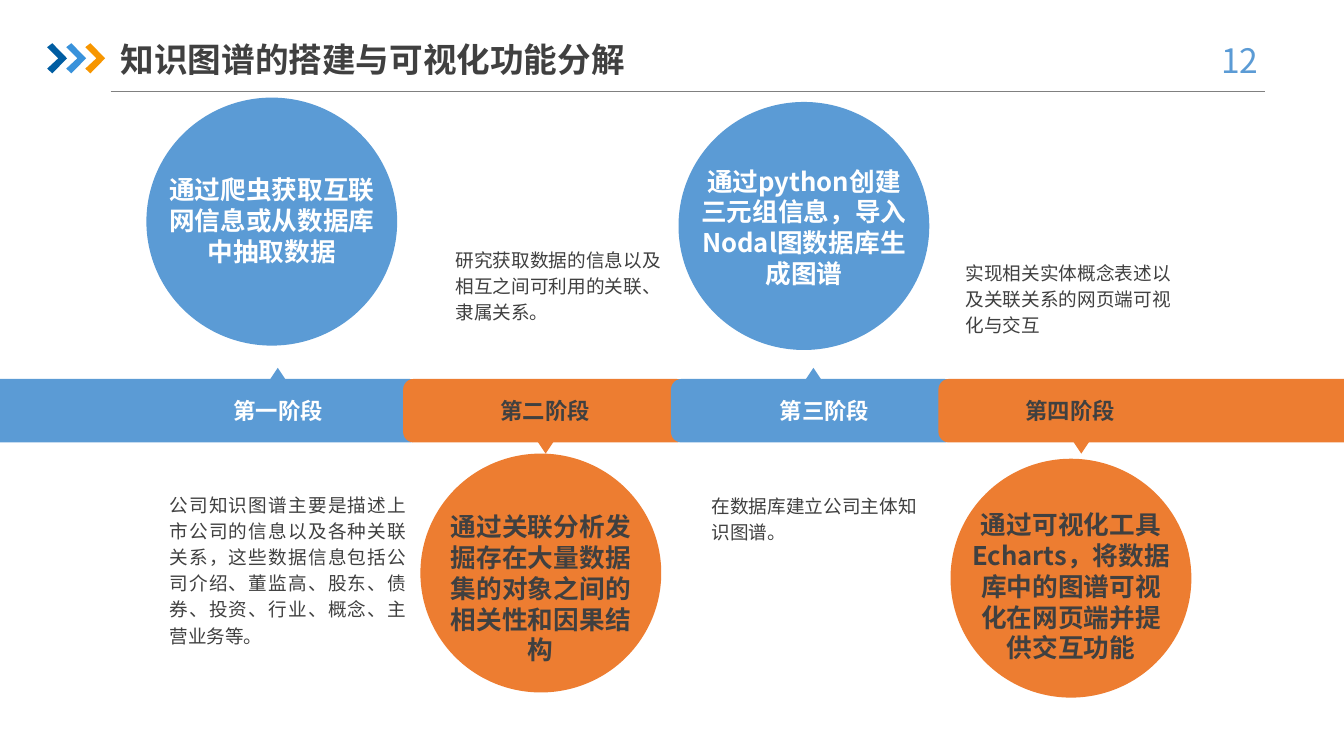
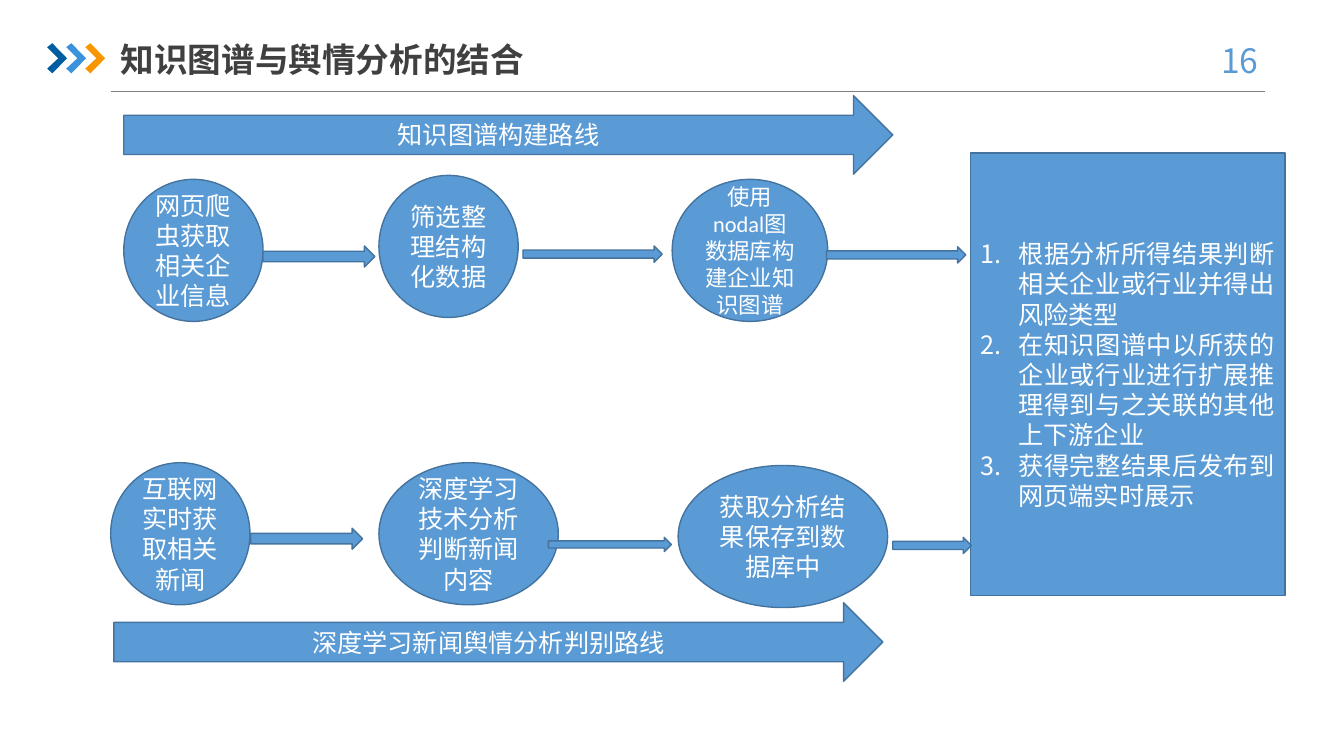
import dataclasses
import typing

import pptx
import pptx.dml.color
import pptx.enum.shapes
import pptx.enum.text
import pptx.oxml.ns
import pptx.util
from lxml import etree

Cm = pptx.util.Cm
Pt = pptx.util.Pt
Shapes = pptx.enum.shapes.MSO_SHAPE
Align = pptx.enum.text.PP_ALIGN
Anchor = pptx.enum.text.MSO_ANCHOR
qn = pptx.oxml.ns.qn


@dataclasses.dataclass(frozen=True)
class Theme:
    blue: str = "5B9BD5"
    orange: str = "ED7D31"
    outline: str = "43739E"
    ink: str = "404040"
    white: str = "FFFFFF"
    rule: str = "808080"
    chevrons: tuple[str, ...] = ("005DA2", "3992DB", "F79600")
    heading_font: str = "Noto Sans CJK SC"
    flow_font: str = "Calibri"
    title_size: float = 24
    caption_size: float = 18.3
    label_size: float = 16
    note_size: float = 13.3
    note_pitch: float = 18.7
    flow_size: float = 18
    small_flow_size: float = 16
    line_factor: float = 1.2


THEME = Theme()


class Box(typing.NamedTuple):
    """Left, top, width and height in centimetres."""
    left: float
    top: float
    width: float
    height: float

    def lengths(self) -> tuple:
        return tuple(Cm(value) for value in self)


@dataclasses.dataclass(frozen=True)
class TextStyle:
    size: float
    color: str
    font: str = THEME.heading_font
    bold: bool = False
    align: typing.Any = Align.CENTER
    pitch: float | None = None


@dataclasses.dataclass(frozen=True)
class Stage:
    label: str
    label_center: float
    band_left: float
    band_width: float
    circle_center: float
    circle_top: float
    caption: str
    caption_top: float
    caption_width: float
    caption_height: float
    note: str
    note_box: Box


@dataclasses.dataclass(frozen=True)
class FlowStep:
    text: str
    left: float
    top: float
    width: float
    size: float = THEME.flow_size


TITLE_BOX = Box(2.79, 0.86, 13.51, 1.27)
PAGE_NUMBER_BOX = Box(30, 0.89, 2.49, 1.27)
CHEVRON_POINTS = ((0, 0.1), (0.13, 0), (0.5, 0.38), (0.13, 0.76), (0, 0.64), (0.28, 0.38))
FLOW_STYLE = TextStyle(THEME.flow_size, THEME.white, THEME.flow_font)

STAGES = (
    Stage("第一阶段", 7.01, -0.41, 11, 6.85, 2.46,
          "通过爬虫获取互联网信息或从数据库中抽取数据", 4.39, 5.33, 2.34,
          "公司知识图谱主要是描述上市公司的信息以及各种关联关系，这些数据信息包括公司介绍、"
          "董监高、股东、债券、投资、行业、概念、主营业务等。", Box(4.27, 12.34, 5.97, 4.01)),
    Stage("第二阶段", 13.74, 10.16, 7.16, 13.63, 11.43,
          "通过关联分析发掘存在大量数据集的对象之间的相关性和因果结构", 12.88, 5.18, 3.12,
          "研究获取数据的信息以及相互之间可利用的关联、隶属关系。", Box(11.48, 6.17, 5.18, 1.98)),
    Stage("第三阶段", 20.78, 16.91, 7.16, 20.26, 2.57,
          "通过python创建三元组信息，导入Nodal图数据库生成图谱", 4.17, 5.44, 3.12,
          "在数据库建立公司主体知识图谱。", Box(17.93, 12.37, 5.18, 1.3)),
    Stage("第四阶段", 26.97, 23.65, 10.62, 26.99, 11.56,
          "通过可视化工具Echarts，将数据库中的图谱可视化在网页端并提供交互功能", 12.83, 5.18, 3.91,
          "实现相关实体概念表述以及关联关系的网页端可视化与交互", Box(24.33, 6.5, 5.18, 1.98)),
)

FLOW_STEPS = (
    FlowStep("网页爬虫获取相关企业信息", 3.12, 4.52, 3.51),
    FlowStep("筛选整理结构化数据", 9.55, 4.42, 3.51),
    FlowStep("使用nodal图数据库构建企业知识图谱", 16.94, 4.52, 3.92, THEME.small_flow_size),
    FlowStep("互联网实时获取相关新闻", 2.79, 11.66, 3.51),
    FlowStep("深度学习技术分析判断新闻内容", 9.55, 11.66, 4.52),
    FlowStep("获取分析结果保存到数据库中", 17.09, 11.73, 5.28),
)
FLOW_ARROWS = (
    Box(6.63, 6.2, 2.82, 0.53), Box(13.18, 6.2, 3.51, 0.41), Box(20.83, 6.22, 3.51, 0.41),
    Box(6.32, 13.31, 2.82, 0.53), Box(13.82, 13.54, 3.1, 0.36), Box(22.5, 13.54, 1.98, 0.41),
)
ROUTES = (
    ("知识图谱构建路线", Box(3.12, 2.41, 19.38, 1.98)),
    ("深度学习新闻舆情分析判别路线", Box(2.87, 15.19, 19.38, 1.98)),
)
RESULTS = (
    "根据分析所得结果判断相关企业或行业并得出风险类型",
    "在知识图谱中以所获的企业或行业进行扩展推理得到与之关联的其他上下游企业",
    "获得完整结果后发布到网页端实时展示",
)
RESULTS_BOX = Box(24.46, 3.86, 7.92, 11.15)
NUMBER_INDENT = Cm(0.95)


# Text and shape helpers
def rgb(color: str) -> pptx.dml.color.RGBColor:
    return pptx.dml.color.RGBColor.from_string(color)


def write_text(shape, text: str, style: TextStyle, anchor=Anchor.TOP) -> None:
    frame = shape.text_frame
    frame.text = text
    frame.word_wrap = True
    frame.auto_size = pptx.enum.text.MSO_AUTO_SIZE.NONE
    frame.vertical_anchor = anchor
    for paragraph in frame.paragraphs:
        paragraph.alignment = style.align
        paragraph.line_spacing = Pt(style.pitch or style.size * THEME.line_factor)
        paragraph.space_before = Pt(0)
        for run in paragraph.runs:
            run.font.size = Pt(style.size)
            run.font.bold = style.bold
            run.font.name = style.font
            run.font.color.rgb = rgb(style.color)
            east_asian = etree.SubElement(run._r.get_or_add_rPr(), qn("a:ea"))
            east_asian.set("typeface", THEME.heading_font)


def add_text(slide, box: Box, text: str, style: TextStyle, inset: float = 0) -> None:
    shape = slide.shapes.add_textbox(*box.lengths())
    frame = shape.text_frame
    frame.margin_left = frame.margin_right = Cm(inset)
    frame.margin_top = frame.margin_bottom = Cm(inset / 2)
    write_text(shape, text, style)


def paint(shape, fill: str, outline: str | None = None) -> None:
    shape.fill.solid()
    shape.fill.fore_color.rgb = rgb(fill)
    if outline:
        shape.line.color.rgb = rgb(outline)
        shape.line.width = Pt(1)
    else:
        shape.line.fill.background()


def add_shape(slide, kind, box: Box, fill: str, outline: str | None = None):
    shape = slide.shapes.add_shape(kind, *box.lengths())
    shape.shadow.inherit = False
    paint(shape, fill, outline)
    return shape


def add_flow_shape(slide, kind, box: Box, text: str = "", size: float = THEME.flow_size) -> None:
    shape = add_shape(slide, kind, box, THEME.blue, THEME.outline)
    if text:
        write_text(shape, text, dataclasses.replace(FLOW_STYLE, size=size), Anchor.MIDDLE)


# Shared header: title, rule, chevrons, page number
def add_header(slide, title: str, page_number: int) -> None:
    placeholder = slide.shapes.title
    placeholder.left, placeholder.top, placeholder.width, placeholder.height = TITLE_BOX.lengths()
    write_text(placeholder, title,
               TextStyle(THEME.title_size, THEME.ink, bold=True, align=Align.LEFT))

    rule = slide.shapes.add_connector(
        pptx.enum.shapes.MSO_CONNECTOR.STRAIGHT, Cm(2.79), Cm(2.31), Cm(31.88), Cm(2.31))
    rule.line.color.rgb = rgb(THEME.rule)
    rule.line.width = Pt(0.5)
    etree.SubElement(rule._element.spPr, qn("a:effectLst"))

    for index, color in enumerate(THEME.chevrons):
        left = 1.19 + index * 0.48
        points = [(Cm(left + x), Cm(1.09 + y)) for x, y in CHEVRON_POINTS]
        builder = slide.shapes.build_freeform(*points[0], scale=1.0)
        builder.add_line_segments(points[1:], close=True)
        chevron = builder.convert_to_shape()
        chevron.shadow.inherit = False
        paint(chevron, color)

    add_text(slide, PAGE_NUMBER_BOX, str(page_number),
             TextStyle(THEME.title_size, THEME.blue), inset=0.25)


# Four-stage timeline
def add_stage(slide, stage: Stage, index: int) -> None:
    above = index % 2 == 0
    fill, text_color = (THEME.blue, THEME.white) if above else (THEME.orange, THEME.ink)
    width, height = (6.32, 6.25) if above else (6.07, 6.02)

    add_shape(slide, Shapes.ROUNDED_RECTANGLE, Box(stage.band_left, 9.55, stage.band_width, 1.6), fill)
    tip = add_shape(slide, Shapes.ISOSCELES_TRIANGLE,
                    Box(6.76 + index * 6.75, 9.27 if above else 11.07, 0.48, 0.36), fill)
    tip.rotation = 0 if above else 180
    add_shape(slide, Shapes.OVAL,
              Box(stage.circle_center - width / 2, stage.circle_top, width, height), fill)

    add_text(slide, Box(stage.label_center - 2.21, 10.01, 4.42, 0.69), stage.label,
             TextStyle(THEME.label_size, text_color, bold=True))
    add_text(slide, Box(stage.circle_center - stage.caption_width / 2, stage.caption_top,
                        stage.caption_width, stage.caption_height), stage.caption,
             TextStyle(THEME.caption_size, text_color, bold=True))
    add_text(slide, stage.note_box, stage.note,
             TextStyle(THEME.note_size, THEME.ink, align=Align.JUSTIFY, pitch=THEME.note_pitch))


def build_stages_slide(presentation) -> None:
    slide = presentation.slides.add_slide(presentation.slide_layouts[5])
    add_header(slide, "知识图谱的搭建与可视化功能分解", 12)
    for index, stage in enumerate(STAGES):
        add_stage(slide, stage, index)


# Two routes leading to a numbered list of results
def add_results(slide) -> None:
    body = slide.placeholders[1]
    body.left, body.top, body.width, body.height = RESULTS_BOX.lengths()
    paint(body, THEME.blue, THEME.outline)
    write_text(body, "\n".join(RESULTS),
               dataclasses.replace(FLOW_STYLE, align=Align.JUSTIFY), Anchor.MIDDLE)
    for paragraph in body.text_frame.paragraphs:
        properties = paragraph._p.get_or_add_pPr()
        properties.set("marL", str(NUMBER_INDENT))
        properties.set("indent", str(-NUMBER_INDENT))
        etree.SubElement(properties, qn("a:buFont")).set("typeface", THEME.flow_font)
        etree.SubElement(properties, qn("a:buAutoNum")).set("type", "arabicPeriod")


def build_routes_slide(presentation) -> None:
    slide = presentation.slides.add_slide(presentation.slide_layouts[1])
    add_header(slide, "知识图谱与舆情分析的结合", 16)
    add_results(slide)
    for step in FLOW_STEPS:
        add_flow_shape(slide, Shapes.OVAL, Box(step.left, step.top, step.width, 3.58),
                       step.text, step.size)
    for text, box in ROUTES:
        add_flow_shape(slide, Shapes.RIGHT_ARROW, box, text)
    for box in FLOW_ARROWS:
        add_flow_shape(slide, Shapes.RIGHT_ARROW, box)


def main() -> None:
    presentation = pptx.Presentation()
    presentation.slide_width = Cm(33.87)
    presentation.slide_height = Cm(19.05)
    build_stages_slide(presentation)
    build_routes_slide(presentation)
    presentation.save("out.pptx")


if __name__ == "__main__":
    main()
